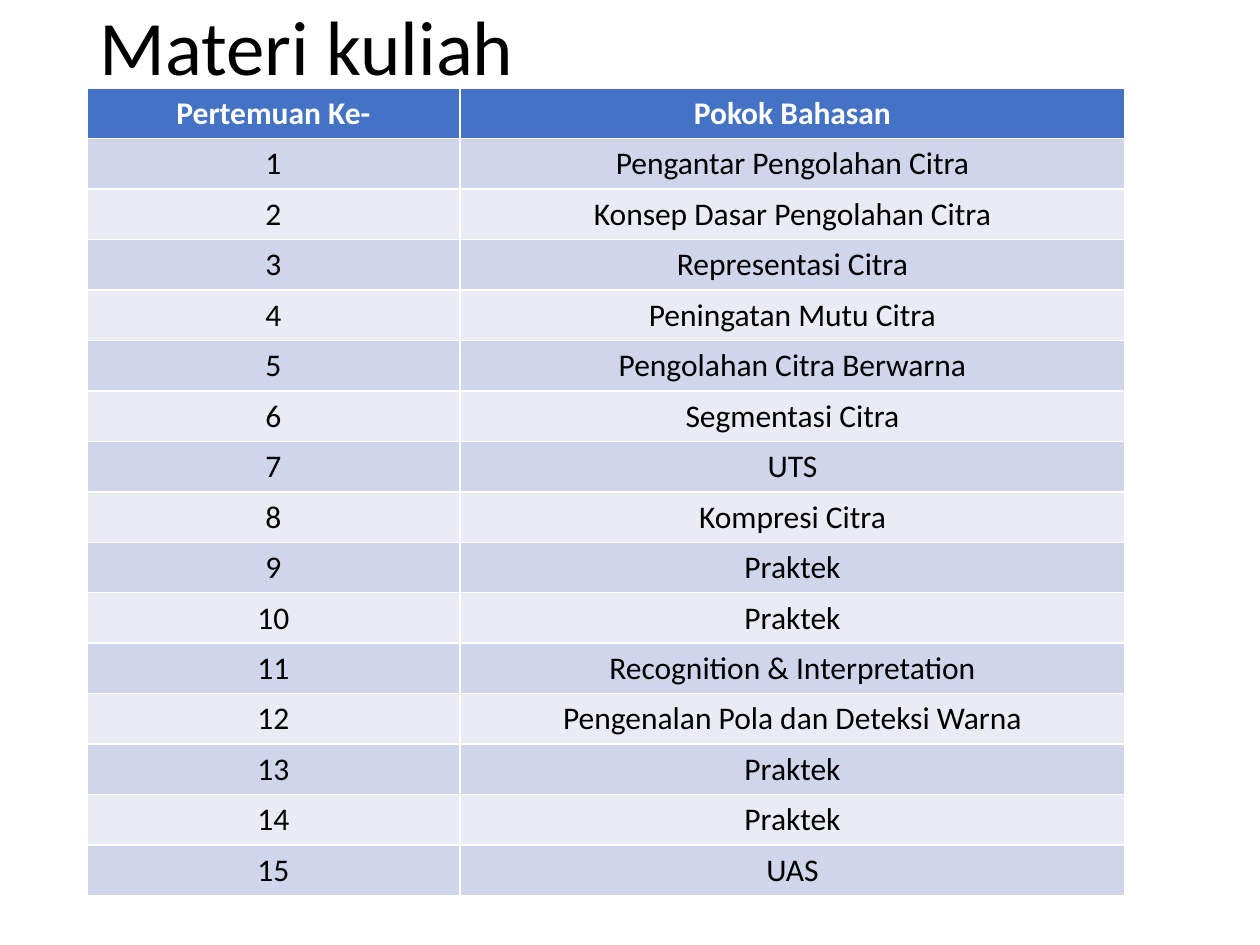
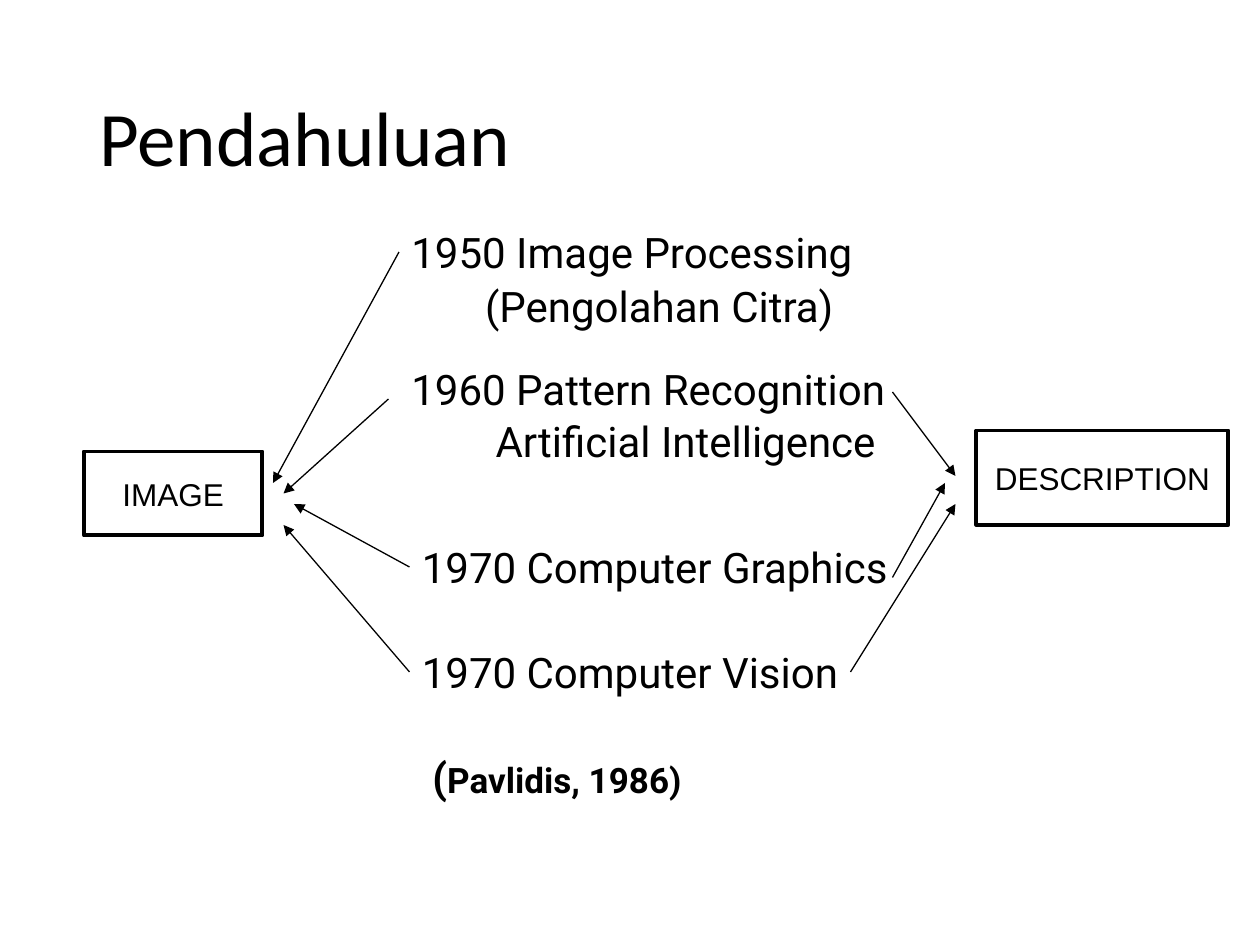
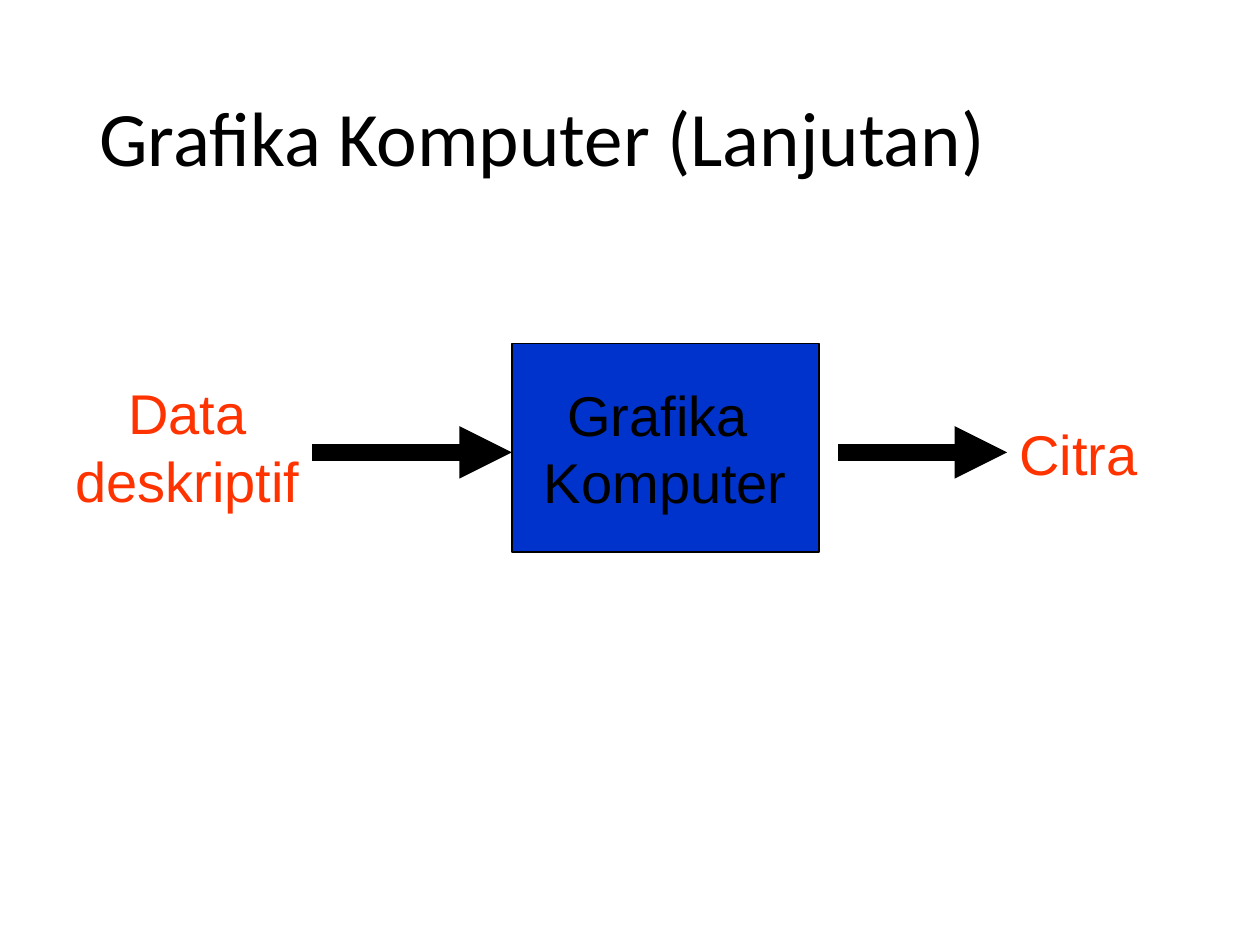
from lxml.etree import SubElement
from pptx import Presentation
from pptx.dml.color import RGBColor
from pptx.enum.shapes import MSO_CONNECTOR, MSO_SHAPE
from pptx.enum.text import MSO_ANCHOR, PP_ALIGN
from pptx.oxml.ns import qn
from pptx.util import Pt

HUES = {
    "ink": "000000", "white": "FFFFFF", "head": "4472C4",
    "odd": "CFD5EA", "even": "E9EBF5", "blue": "0033CC", "red": "FF3300",
}
TOPICS = [
    "Pengantar Pengolahan Citra", "Konsep Dasar Pengolahan Citra",
    "Representasi Citra", "Peningatan Mutu Citra",
    "Pengolahan Citra Berwarna", "Segmentasi Citra", "UTS",
    "Kompresi Citra", "Praktek", "Praktek", "Recognition & Interpretation",
    "Pengenalan Pola dan Deteksi Warna", "Praktek", "Praktek", "UAS",
]
# Fields of study: left, top, width, indent, text
FIELDS = [
    (228, 126, 270, 0, "1950 Image Processing"),
    (228, 157, 270, 42, "(Pengolahan Citra)"),
    (228, 204, 300, 0, "1960 Pattern Recognition"),
    (234, 234, 282, 42, "Artificial Intelligence"),
    (234, 306, 282, 0, "1970 Computer Graphics"),
    (234, 366, 282, 0, "1970 Computer Vision"),
]
# Arrows from the fields to the two boxes: start x, y, end x, y
LINKS = [
    (228, 144, 156, 276), (222, 228, 162, 282),
    (234, 324, 168, 288), (234, 384, 162, 300),
    (510, 224, 546, 272), (510, 330, 540, 276), (486, 384, 546, 288),
]


def hue(name):
    return RGBColor.from_string(HUES[name])


def pts(*nums):
    return [Pt(num) for num in nums]


def style(para, size, face, tone="ink", bold=False, align=None):
    font = para.font
    font.size, font.name, font.bold = Pt(size), face, bold
    font.color.rgb = hue(tone)
    para.alignment = align


def add_text(slide, place, text, size, face, indent=0, **look):
    """Place a wrapping text box and return its frame."""
    frame = slide.shapes.add_textbox(*pts(*place)).text_frame
    frame.word_wrap = True
    frame.margin_left = Pt(7.2 + indent)
    frame.text = text
    style(frame.paragraphs[0], size, face, **look)
    return frame


def add_title(slide, text, top=28.8, high=104.4):
    frame = add_text(slide, (49.7, top, 620.6, high), text, 44, "Calibri")
    frame.vertical_anchor = MSO_ANCHOR.MIDDLE
    frame.paragraphs[0].line_spacing = 0.9


def add_box(slide, place, text, size, line, fill=None):
    box = slide.shapes.add_shape(MSO_SHAPE.RECTANGLE, *pts(*place))
    box.shadow.inherit = False
    if fill:
        box.fill.solid()
        box.fill.fore_color.rgb = hue(fill)
    else:
        box.fill.background()
    box.line.color.rgb, box.line.width = hue("ink"), Pt(line)
    frame = box.text_frame
    frame.word_wrap = False
    frame.vertical_anchor = MSO_ANCHOR.MIDDLE
    frame.text = text
    for para in frame.paragraphs:
        style(para, size, "Arial", align=PP_ALIGN.CENTER)


def add_arrow(slide, ends, width=0.75):
    arrow = slide.shapes.add_connector(MSO_CONNECTOR.STRAIGHT, *pts(*ends))
    arrow.line.color.rgb, arrow.line.width = hue("ink"), Pt(width)
    SubElement(arrow.line._get_or_add_ln(), qn("a:tailEnd"), type="triangle")
    SubElement(arrow._element.spPr, qn("a:effectLst"))


def add_grid(slide, rows, place, widths):
    grid = slide.shapes.add_table(len(rows), len(widths), *pts(*place)).table
    for col, width in zip(grid.columns, widths):
        col.width = Pt(width)
    for i, row in enumerate(rows):
        fill = "head" if i == 0 else "odd" if i % 2 else "even"
        tone = "ink" if i else "white"
        for j, text in enumerate(row):
            cell = grid.cell(i, j)
            cell.text = text
            cell.fill.solid()
            cell.fill.fore_color.rgb = hue(fill)
            style(cell.text_frame.paragraphs[0], 18, "Calibri", tone,
                  bold=i == 0, align=PP_ALIGN.CENTER)


def show_plan(slide):
    add_title(slide, "Materi kuliah", 0, 57.6)
    rows = [("Pertemuan Ke-", "Pokok Bahasan")]
    rows += [(str(n), topic) for n, topic in enumerate(TOPICS, 1)]
    add_grid(slide, rows, (49.7, 50.4, 593.3, 460.8), (213.1, 380.2))


def show_intro(slide):
    add_title(slide, "Pendahuluan")
    add_box(slide, (48, 258, 102, 48), "IMAGE", 18, 2.25)
    add_box(slide, (558, 246, 144, 54), "DESCRIPTION", 18, 2.25)
    for left, top, width, indent, text in FIELDS:
        add_text(slide, (left, top, width, 36), text, 24, "Roboto", indent)
    # Source of the list, with a larger bracket
    frame = add_text(slide, (240, 426, 186, 36), "(", 24, "Roboto", bold=True)
    name = frame.paragraphs[0].add_run()
    name.text, name.font.size = "Pavlidis, 1986)", Pt(20)
    for ends in LINKS:
        add_arrow(slide, ends)


def show_flow(slide):
    add_title(slide, "Grafika Komputer (Lanjutan)")
    add_text(slide, (25.2, 213, 164, 84), "Data deskriptif", 32, "Arial",
             tone="red", align=PP_ALIGN.CENTER)
    add_box(slide, (292.5, 196.5, 175.5, 119), "Grafika \nKomputer", 32, 0.75,
            "blue")
    add_text(slide, (575.5, 236, 119, 45), "Citra", 32, "Arial", tone="red")
    for start, end in ((178.5, 292.5), (479, 575.5)):
        add_arrow(slide, (start, 258.5, end, 258.5), 10)


def main():
    deck = Presentation()
    deck.slide_width, deck.slide_height = pts(720, 540)
    for show in (show_plan, show_intro, show_flow):
        show(deck.slides.add_slide(deck.slide_layouts[6]))
    deck.save("out.pptx")


if __name__ == "__main__":
    main()
